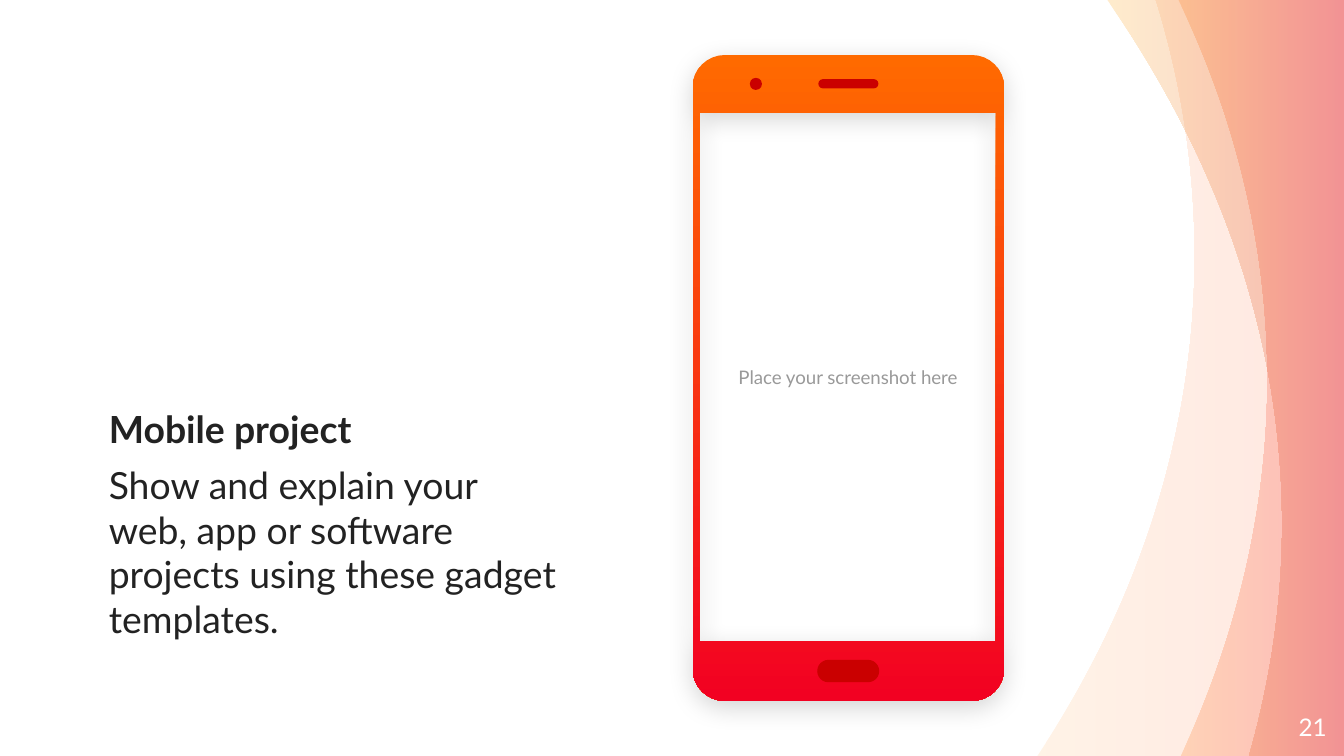
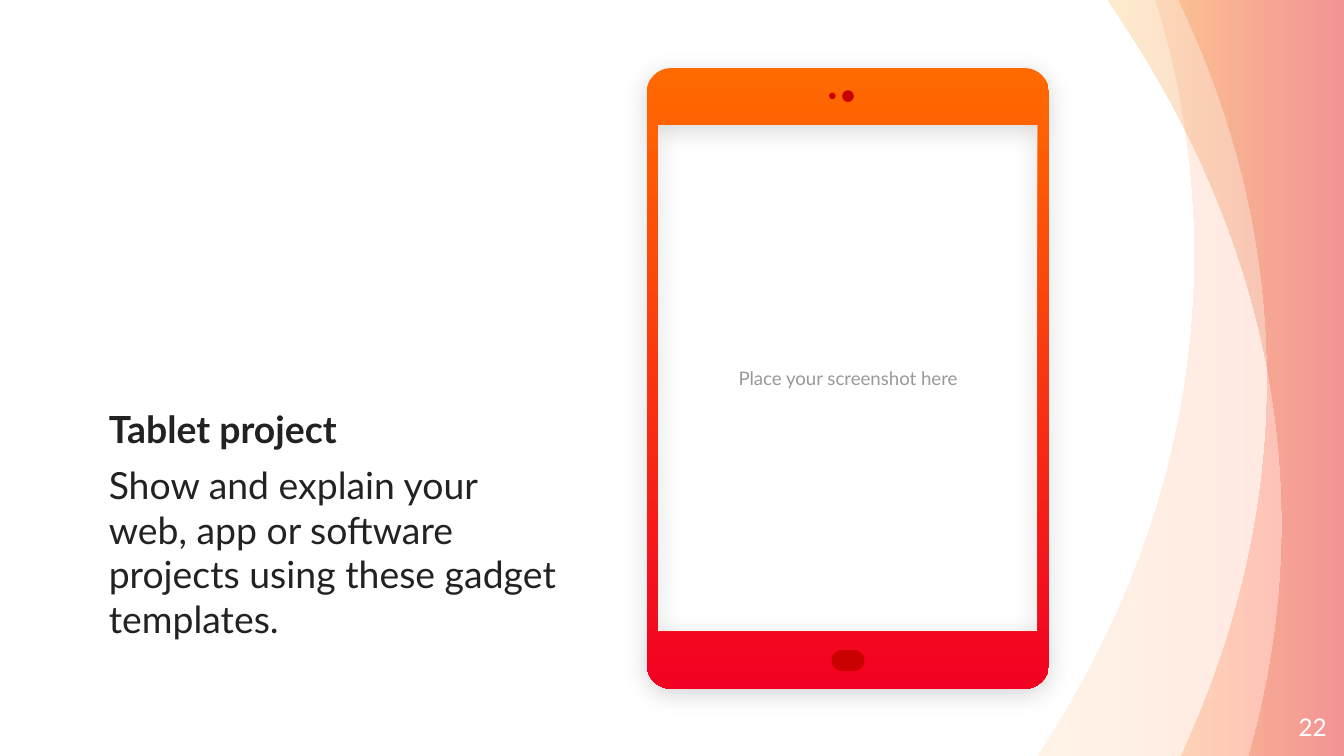
import math

from pptx import Presentation
from pptx import util as u
from pptx.dml.color import RGBColor
from pptx.enum import shapes, text
from pptx.oxml import ns, xmlchemy

FONT = "Lato"
INK, GREY, WHITE, DETAIL = "222222", "999999", "FFFFFF", "CA0000"
FRAME_COLORS = ("FF6A00", "F20122")
BODY = "Show and explain your web, app or software projects using these gadget templates."

BANDS = [
    {"colors": ("FFC486", "FF866B"),
     "upper": [(640, 136.8), (640, 90), (632.9, 43.9), (619.2, 0)],
     "lower": [(555.1, 406), (609.8, 324), (640, 232.6), (640, 136.8)]},
    {"colors": ("FF6A00", "F20122"),
     "upper": [(679, 203), (679, 132.5), (662.4, 64), (631.4, 0)],
     "lower": [(632.2, 406), (662.4, 342), (679, 273.6), (679, 203)]},
    {"colors": ("FF9F00", "CC0000"),
     "upper": [(686.9, 280.8), (686.9, 180.7), (653, 85.7), (593.3, 0)],
     "lower": [(668.9, 406), (680.4, 365.8), (686.9, 324), (686.9, 280.8)]},
]

PHONE = {
    "box": (371, 29.5, 167, 346), "screen": (4, 31, 158.5, 283),
    "radius": 17.3, "shadow": (16, 3.7),
    "details": [(66.8, 324, 33.2, 12), (30.7, 12.2, 6.5, 6.5), (67.4, 12.9, 32.2, 5)],
}
TABLET = {
    "box": (346.5, 36.5, 215.5, 332.5), "screen": (6, 30.5, 203.5, 271.5),
    "radius": 13, "shadow": (17, 3),
    "details": [(99, 311.8, 17.6, 11.2), (97.7, 13.1, 3.5, 3.5), (104.7, 11.9, 6.3, 6.3)],
}
SLIDES = [("Mobile project", "21", PHONE), ("Tablet project", "22", TABLET)]


def rgb(value):
    """Turn a hex string into a colour."""
    return RGBColor.from_string(value)


def pts(*values):
    """Convert numbers to lengths in points."""
    return [u.Pt(v) for v in values]


def add_xml(parent, tag, **attrs):
    """Append an XML child with the given attributes."""
    child = xmlchemy.OxmlElement(tag)
    for name, value in attrs.items():
        child.set(name, str(value))
    parent.append(child)
    return child


def bezier(p0, p1, p2, p3, steps=48):
    """Sample a cubic curve."""
    curve = []
    for i in range(steps + 1):
        t = i / steps
        weights = ((1 - t) ** 3, 3 * t * (1 - t) ** 2, 3 * t * t * (1 - t), t ** 3)
        curve.append(tuple(sum(w * p[axis] for w, p in zip(weights, (p0, p1, p2, p3)))
                           for axis in (0, 1)))
    return curve


def rounded_outline(x, y, w, h, radius, steps=8):
    """Return the points of a rounded rectangle, clockwise."""
    corners = [(x + w - radius, y + radius), (x + w - radius, y + h - radius),
               (x + radius, y + h - radius), (x + radius, y + radius)]
    outline = []
    for quarter, (cx, cy) in enumerate(corners):
        for i in range(steps + 1):
            angle = (quarter - 1 + i / steps) * math.pi / 2
            outline.append((cx + radius * math.cos(angle), cy + radius * math.sin(angle)))
    return outline


def add_outline(s, contours, colors, angle, opacity=100):
    """Draw closed contours as one shape with a gradient fill."""
    first, *rest = [[pts(*point) for point in contour] for contour in contours]
    builder = s.shapes.build_freeform(*first[0], scale=1.0)
    builder.add_line_segments(first[1:], close=True)
    for contour in rest:
        builder.move_to(*contour[0])
        builder.add_line_segments(contour[1:], close=True)
    sp = builder.convert_to_shape()
    sp.shadow.inherit = False
    sp.line.fill.background()
    sp.fill.gradient()
    sp.fill.gradient_angle = angle
    for stop, color in zip(sp.fill.gradient_stops, colors):
        stop.color.rgb = rgb(color)
    if opacity < 100:
        for color in sp.element.spPr.iter(ns.qn("a:srgbClr")):
            add_xml(color, "a:alpha", val=opacity * 1000)
    return sp


def add_text(s, box, paragraphs, size, color, anchor, align, inset=0, before=0):
    """Place a text box holding (text, bold) paragraphs."""
    tf = s.shapes.add_textbox(*pts(*box)).text_frame
    tf.word_wrap = True
    tf.vertical_anchor = anchor
    tf.margin_left = tf.margin_right = tf.margin_top = tf.margin_bottom = u.Pt(inset)
    for i, (words, bold) in enumerate(paragraphs):
        p = tf.add_paragraph() if i else tf.paragraphs[0]
        p.alignment = align
        p.space_before = u.Pt(before)
        r = p.add_run()
        r.text = words
        r.font.name, r.font.size, r.font.bold = FONT, u.Pt(size), bold
        r.font.color.rgb = rgb(color)


def add_bands(s):
    """Draw the translucent curved bands on the right edge."""
    for band in BANDS:
        contour = bezier(*band["upper"]) + [(720, 0), (720, 406)] + bezier(*band["lower"])[:-1]
        add_outline(s, [contour], band["colors"], 0, opacity=20)


def add_device(s, box, screen, radius, shadow, details):
    """Draw a device with its screen label, frame and buttons inside the box."""
    left, top, width, height = box
    x, y, w, h = left + screen[0], top + screen[1], *screen[2:]
    add_text(s, (x, y, w, h), [("Place your screenshot here", False)], 10, GREY,
             text.MSO_ANCHOR.MIDDLE, text.PP_ALIGN.CENTER, inset=7.2)
    opening = [(x, y), (x, y + h), (x + w, y + h), (x + w, y)]
    frame = add_outline(s, [rounded_outline(left, top, width, height, radius), opening],
                        FRAME_COLORS, 270)
    opacity, distance = shadow
    effects = frame.element.spPr.find(ns.qn("a:effectLst"))
    outer = add_xml(effects, "a:outerShdw", blurRad=u.Pt(13.5), dist=u.Pt(distance),
                    dir=90 * 60000, algn="bl", rotWithShape=0)
    add_xml(add_xml(outer, "a:srgbClr", val="000000"), "a:alpha", val=opacity * 1000)
    for dx, dy, dw, dh in details:
        sp = s.shapes.add_shape(shapes.MSO_SHAPE.ROUNDED_RECTANGLE,
                                *pts(left + dx, top + dy, dw, dh))
        sp.adjustments[0] = 0.5
        sp.shadow.inherit = False
        sp.fill.solid()
        sp.fill.fore_color.rgb = rgb(DETAIL)
        sp.line.fill.background()


def add_project_slide(prs, heading, number, device):
    """Build one project slide."""
    s = prs.slides.add_slide(prs.slide_layouts[6])
    s.background.fill.solid()
    s.background.fill.fore_color.rgb = rgb(WHITE)
    add_bands(s)
    add_text(s, (58.3, 67, 242.6, 276.5), [(heading, True), (BODY, False)], 20, INK,
             text.MSO_ANCHOR.BOTTOM, text.PP_ALIGN.LEFT, before=6)
    add_text(s, (667.5, 373.7, 43.2, 31), [(number, False)], 13, WHITE,
             text.MSO_ANCHOR.MIDDLE, text.PP_ALIGN.RIGHT)
    add_device(s, **device)


def main():
    """Build and save the presentation."""
    prs = Presentation()
    prs.slide_width, prs.slide_height = pts(720, 405)
    for heading, number, device in SLIDES:
        add_project_slide(prs, heading, number, device)
    prs.save("out.pptx")


if __name__ == "__main__":
    main()
